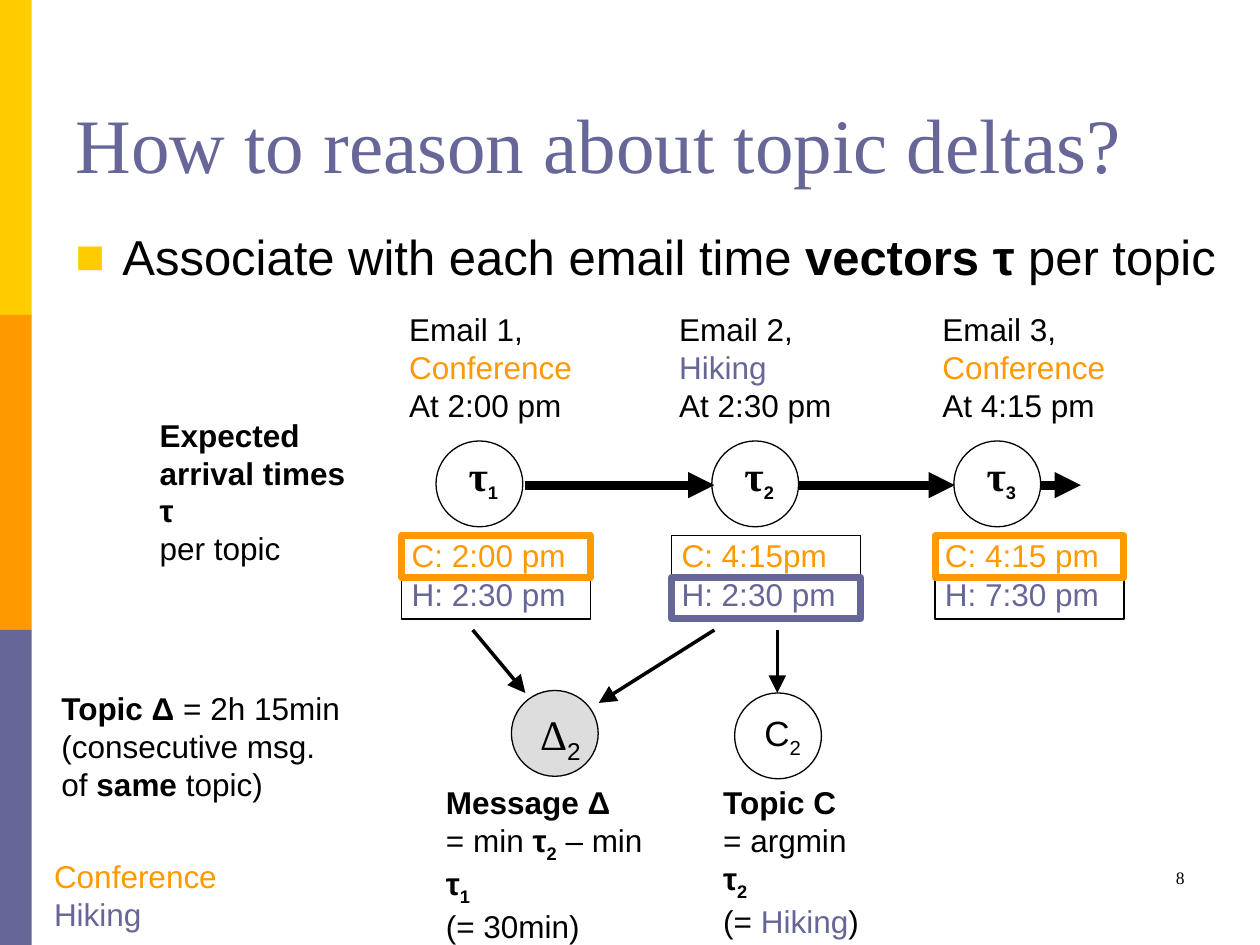
from typing import NamedTuple, Optional

from lxml import etree
from pptx import Presentation
from pptx.dml.color import RGBColor
from pptx.enum.shapes import MSO_CONNECTOR, MSO_SHAPE
from pptx.enum.text import MSO_ANCHOR, PP_ALIGN
from pptx.oxml.ns import qn
from pptx.util import Cm, Pt

YELLOW = RGBColor(0xFF, 0xCC, 0x00)
ORANGE = RGBColor(0xFF, 0x99, 0x00)
VIOLET = RGBColor(0x66, 0x66, 0x99)
GREY = RGBColor(0xDD, 0xDD, 0xDD)
BLACK = RGBColor(0x00, 0x00, 0x00)
SANS, SERIF = "Arial", "Times New Roman"

BOX_WIDTH, ROW_HEIGHT, BOX_TOP = 3.81, 0.84, 10.8
NODE_WIDTH, NODE_HEIGHT, NODE_TOP = 1.75, 1.73, 8.89


class Part(NamedTuple):
    """A stretch of text; size and font are set only where they differ."""
    text: str
    bold: bool = False
    color: Optional[RGBColor] = None
    sub: bool = False
    size: Optional[float] = None
    font: Optional[str] = None


class Email(NamedTuple):
    number: str
    topic: Part
    time: str
    conference_time: str
    hiking_time: str
    box_left: float
    node_left: float
    topic_row: int  # row of the topic that this email belongs to


CONFERENCE = Part("Conference", color=ORANGE)
HIKING = Part("Hiking", color=VIOLET)
TAU = Part("τ", bold=True)

EMAILS = [
    Email("1", CONFERENCE, "2:00 pm", "2:00 pm", "2:30 pm", 8.1, 8.79, 0),
    Email("2", HIKING, "2:30 pm", "4:15pm", "2:30 pm", 13.54, 14.35, 1),
    Email("3", CONFERENCE, "4:15 pm", "4:15 pm", "7:30 pm", 18.85, 19.23, 0),
]


def sub(text: str, bold: bool = False) -> Part:
    return Part(text, bold=bold, sub=True)


def fill_paragraph(paragraph, parts: list[Part], size: float,
                   font: str = SANS, color: RGBColor = BLACK) -> None:
    paragraph.font.size, paragraph.font.name = Pt(size), font
    paragraph.font.color.rgb = color
    for part in parts:
        run = paragraph.add_run()
        run.text = part.text
        if part.bold:
            run.font.bold = True
        if part.color is not None:
            run.font.color.rgb = part.color
        if part.size:
            run.font.size = Pt(part.size)
        if part.font:
            run.font.name = part.font
        if part.sub:
            run._r.get_or_add_rPr().set("baseline", "-25000")


def add_text(slide, left: float, top: float, width: float, height: float,
             lines: list[list[Part]], size: float = 18, font: str = SANS,
             align: PP_ALIGN = PP_ALIGN.LEFT) -> None:
    frame = slide.shapes.add_textbox(Cm(left), Cm(top), Cm(width), Cm(height)).text_frame
    frame.word_wrap = True
    for index, parts in enumerate(lines):
        paragraph = frame.add_paragraph() if index else frame.paragraphs[0]
        paragraph.alignment = align
        fill_paragraph(paragraph, parts, size, font)


def add_outline(slide, kind: MSO_SHAPE, left: float, top: float, width: float, height: float,
                fill: Optional[RGBColor] = None, line: Optional[RGBColor] = BLACK,
                weight: float = 0.75) -> None:
    shape = slide.shapes.add_shape(kind, Cm(left), Cm(top), Cm(width), Cm(height))
    shape.shadow.inherit = False
    if fill is None:
        shape.fill.background()
    else:
        shape.fill.solid()
        shape.fill.fore_color.rgb = fill
    if line is None:
        shape.line.fill.background()
    else:
        shape.line.color.rgb = line
        shape.line.width = Pt(weight)


def add_line(slide, x1: float, y1: float, x2: float, y2: float,
             weight: float, head: Optional[str] = None) -> None:
    connector = slide.shapes.add_connector(
        MSO_CONNECTOR.STRAIGHT, Cm(x1), Cm(y1), Cm(x2), Cm(y2))
    connector.line.color.rgb = BLACK
    connector.line.width = Pt(weight)
    if head:
        etree.SubElement(connector.line._get_or_add_ln(), qn("a:tailEnd"),
                         type="triangle", w=head, len=head)
    etree.SubElement(connector._element.spPr, qn("a:effectLst"))


def add_node(slide, left: float, top: float, fill: Optional[RGBColor] = None) -> None:
    add_outline(slide, MSO_SHAPE.OVAL, left, top, NODE_WIDTH, NODE_HEIGHT, fill)


def add_email(slide, email: Email) -> None:
    # Heading above the node
    add_text(slide, email.box_left - 0.1, 6.13, 4.06, 2.54,
             [[Part(f"Email {email.number},")], [email.topic], [Part(f"At {email.time}")]])
    # Node with its time vector
    add_node(slide, email.node_left, NODE_TOP)
    add_text(slide, email.node_left - 0.1, 8.94, 2.11, 1.35,
             [[TAU._replace(size=24, font=SERIF), sub(email.number, bold=True)]],
             align=PP_ALIGN.CENTER)
    # Expected times, one row per topic
    add_outline(slide, MSO_SHAPE.RECTANGLE, email.box_left, BOX_TOP, BOX_WIDTH, 2 * ROW_HEIGHT)
    middle = BOX_TOP + ROW_HEIGHT
    add_line(slide, email.box_left, middle, email.box_left + BOX_WIDTH, middle, 0.75)
    rows = [(f"C: {email.conference_time}", ORANGE), (f"H: {email.hiking_time}", VIOLET)]
    for row, (text, color) in enumerate(rows):
        add_text(slide, email.box_left - 0.05, 10.69 + 0.78 * row, BOX_WIDTH, 1.02,
                 [[Part(text, color=color)]])
    add_outline(slide, MSO_SHAPE.RECTANGLE, email.box_left, BOX_TOP + email.topic_row * ROW_HEIGHT,
                BOX_WIDTH, ROW_HEIGHT, line=email.topic.color, weight=4)


def add_bullet(paragraph) -> None:
    properties = paragraph._p.get_or_add_pPr()
    properties.set("marL", str(Cm(0.95)))
    properties.set("indent", str(-Cm(0.95)))
    color = etree.SubElement(properties, qn("a:buClr"))
    etree.SubElement(color, qn("a:srgbClr"), val=str(YELLOW))
    etree.SubElement(properties, qn("a:buFont"), typeface=SANS)
    etree.SubElement(properties, qn("a:buChar"), char="■")


def main() -> None:
    deck = Presentation()
    deck.slide_width, deck.slide_height = Cm(25.4), Cm(19.05)
    slide = deck.slides.add_slide(deck.slide_layouts[5])

    # Side bands
    for index, color in enumerate((YELLOW, ORANGE, VIOLET)):
        add_outline(slide, MSO_SHAPE.RECTANGLE, 0, 6.35 * index, 0.64, 6.35, color, line=None)

    # Title
    title = slide.shapes.title
    title.left, title.top, title.width, title.height = Cm(1.27), Cm(0.76), Cm(22.86), Cm(3.18)
    title.text_frame.vertical_anchor = MSO_ANCHOR.BOTTOM
    heading = title.text_frame.paragraphs[0]
    heading.alignment = PP_ALIGN.LEFT
    fill_paragraph(heading, [Part("How to reason about topic deltas?")], 44, SERIF, VIOLET)

    # Main statement
    body = slide.shapes.add_textbox(Cm(1.27), Cm(4.45), Cm(24.13), Cm(1.5)).text_frame
    body.word_wrap = True
    add_bullet(body.paragraphs[0])
    fill_paragraph(body.paragraphs[0], [
        Part("Associate with each email time "), Part("vectors τ ", bold=True),
        Part("per topic")], 28)

    # Emails and the time line between them
    for email in EMAILS:
        add_email(slide, email)
    for start, end in ((10.59, 14.4), (16.08, 19.25), (20.96, 21.79)):
        add_line(slide, start, 9.78, end, 9.78, 5, head="med")

    # Message delta and topic nodes
    add_node(slide, 10.31, 13.92, GREY)
    add_text(slide, 10.64, 14.15, 1.6, 1.42, [[Part("Δ", font=SERIF), sub("2")]], size=24)
    add_node(slide, 14.81, 13.97)
    add_text(slide, 15.16, 14.22, 1.5, 1.22, [[Part("C"), sub("2")]], size=20)
    for x1, x2, y2 in ((9.53, 10.59, 13.97), (14.4, 12.07, 14.17), (15.67, 15.67, 13.97)):
        add_line(slide, x1, 12.7, x2, y2, 2, head="lg")

    # Explanations
    add_text(slide, 2.97, 8.26, 4.45, 2.54, [
        [Part("Expected", bold=True)], [Part("arrival times τ", bold=True)], [Part("per topic")]])
    add_text(slide, 0.99, 13.77, 6.43, 2.54, [
        [Part("Topic Δ ", bold=True), Part("= 2h 15min")], [Part("(consecutive msg.")],
        [Part("of "), Part("same ", bold=True), Part("topic)")]])
    add_text(slide, 8.74, 15.67, 4.95, 2.64, [
        [Part("Message Δ", bold=True)],
        [Part("= min "), TAU, sub("2", bold=True), Part(" – min "), TAU, sub("1", bold=True)],
        [Part("(= 30min)")]])
    add_text(slide, 14.33, 15.67, 3.43, 2.64, [
        [Part("Topic C", bold=True)], [Part("= argmin "), TAU, sub("2", bold=True)],
        [Part("(= "), HIKING, Part(")")]])

    # Colour key and page number
    add_text(slide, 0.84, 17.15, 4.5, 1.78, [[CONFERENCE], [HIKING]])
    add_text(slide, 18.21, 17.35, 5.92, 1.27, [[Part("8")]], 10, SERIF, PP_ALIGN.RIGHT)

    deck.save("out.pptx")


if __name__ == "__main__":
    main()
